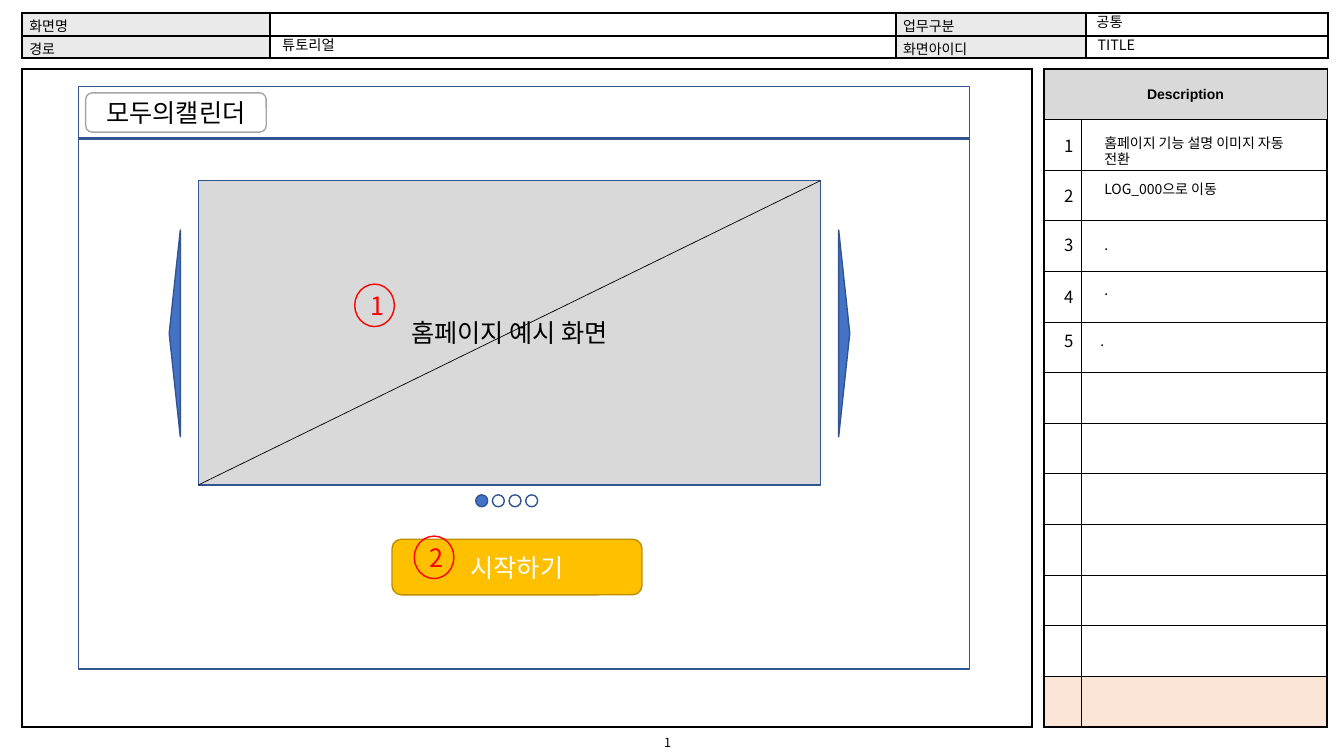
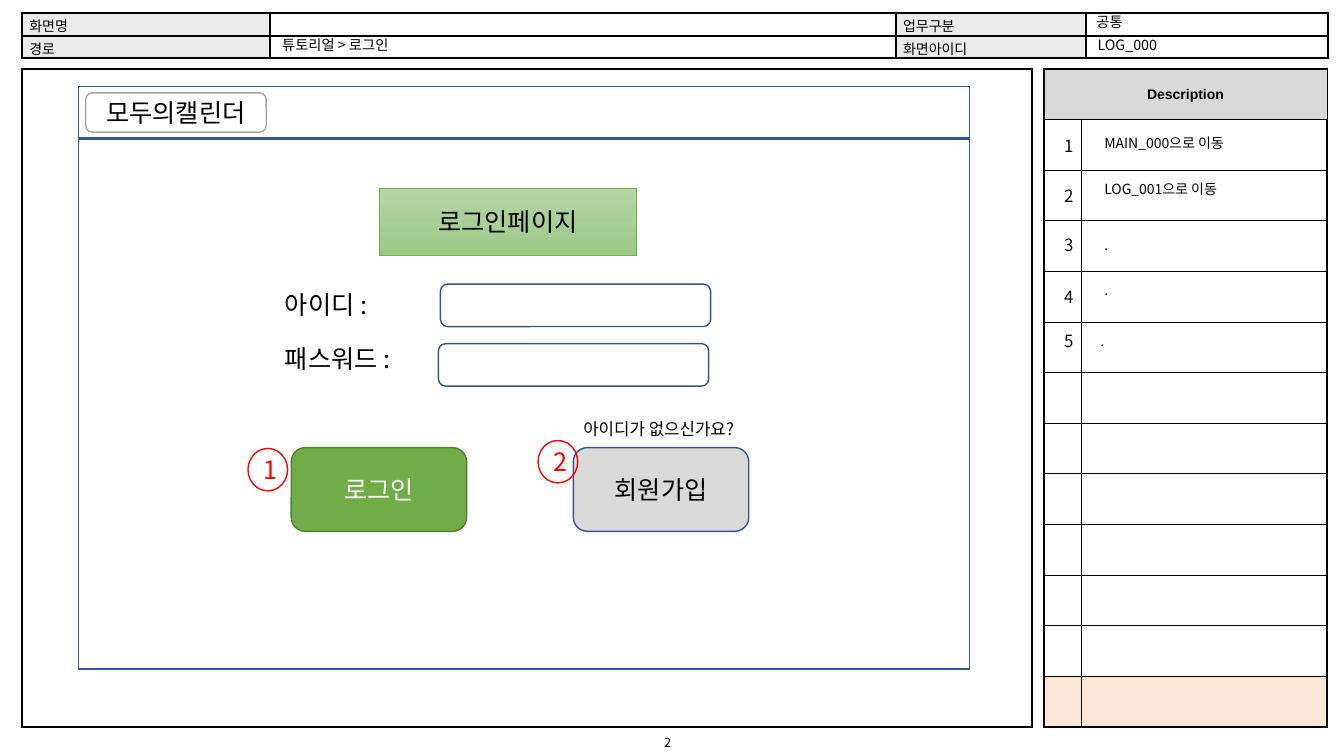
"""Build two wireframe slides with a shared header, frame and description panel."""
from lxml import etree
from pptx import Presentation
from pptx import util as u
from pptx.dml.color import RGBColor
from pptx.enum import shapes, text
from pptx.oxml import ns


class Theme:
    face, head = "Noto Sans CJK KR", "Arial"
    black, white, red = "000000", "FFFFFF", "FF0000"
    label, grey, peach = "EAEAEA", "D9D9D9", "FBE5D6"
    blue, navy, silver = "4472C4", "325491", "A5A5A5"
    gold, bronze = "FFC000", "BD8E00"
    green, moss, mint = "70AD47", "538035", ("B5D5A7", "9CC987")
    page, note, value, number, main = 9, 10, 10.2, 12, 18
    thin, line, thick = 0.5, 1, 1.5
    gap = 17


def write(frame, words, size, tone=Theme.black, mid=True, pad=(0.25, 0.13), face=Theme.face, bold=False):
    """Fill a text frame and format its runs."""
    frame.text = words
    frame.word_wrap = True
    frame.auto_size = text.MSO_AUTO_SIZE.NONE
    frame.vertical_anchor = text.MSO_ANCHOR.MIDDLE if mid else text.MSO_ANCHOR.TOP
    frame.margin_left = frame.margin_right = u.Cm(pad[0])
    frame.margin_top = frame.margin_bottom = u.Cm(pad[1])
    for rank, para in enumerate(frame.paragraphs):
        para.alignment = text.PP_ALIGN.CENTER if mid else text.PP_ALIGN.LEFT
        para.space_before = u.Pt(Theme.gap if rank else 0)
        for run in para.runs:
            run.font.name, run.font.size, run.font.bold = face, u.Pt(size), bold
            run.font.color.rgb = RGBColor.from_string(tone)
            etree.SubElement(run.font._element, ns.qn("a:ea"), typeface=face)


def box(slide, kind, spot, fill=None, line=None, words="", tone=Theme.black, size=Theme.main, weight=Theme.line):
    """Add a preset shape, or a text box when kind is None."""
    place = [u.Cm(n) for n in spot]
    if kind is None:
        item = slide.shapes.add_textbox(*place)
        write(item.text_frame, words, size, tone, mid=False)
        return item
    item = slide.shapes.add_shape(kind, *place)
    item.shadow.inherit = False
    if isinstance(fill, tuple):
        item.fill.gradient()
        item.fill.gradient_angle = 270
        for stop, shade in zip(item.fill.gradient_stops, fill):
            stop.color.rgb = RGBColor.from_string(shade)
        item.fill.gradient_stops[0].position = 0
        item.fill.gradient_stops[1].position = 1
    elif fill:
        item.fill.solid()
        item.fill.fore_color.rgb = RGBColor.from_string(fill)
    else:
        item.fill.background()
    if line:
        item.line.color.rgb = RGBColor.from_string(line)
        item.line.width = u.Pt(weight)
    else:
        item.line.fill.background()
    if words:
        write(item.text_frame, words, size, tone)
    return item


T = Theme
RECT, ROUND = shapes.MSO_SHAPE.RECTANGLE, shapes.MSO_SHAPE.ROUNDED_RECTANGLE
OVAL, WEDGE = shapes.MSO_SHAPE.OVAL, shapes.MSO_SHAPE.ISOSCELES_TRIANGLE

deck = Presentation()
deck.slide_width, deck.slide_height = u.Cm(33.87), u.Cm(19.05)

tables = [
    (0.56, 1.73, [25.45], 16.59, 1, T.thick, {}),
    (0.56, 0.33, [6.25, 15.77, 4.78, 6.1], 1.14, 2, T.thick, {
        (0, 0): ("화면명", T.label), (0, 2): ("업무구분", T.label),
        (1, 0): ("경로", T.label), (1, 2): ("화면아이디", T.label)}),
    (26.31, 1.73, [0.95, 6.18], 16.59, 13, T.thin, {
        (0, 0): ("", T.grey), (0, 1): ("", T.grey),
        (12, 0): ("", T.peach), (12, 1): ("", T.peach)}),
]
fields = [(0, 6.86, 0.89, 15.67), (1, 27.38, 0.33, 6.05), (3, 27.41, 0.91, 6.05)]
ranks = [3.28, 4.55, 5.79, 7.09, 8.2]
notes = [(27.58, 3.25), (27.58, 4.42), (27.58, 5.84), (27.58, 6.96), (27.48, 8.26)]

pages = [
    (["튜토리얼", "공통", "TITLE"],
     ["홈페이지 기능 설명 이미지 자동 전환", "LOG_000으로 이동"],
     [(RECT, (5, 4.55, 15.68, 7.67), T.grey, T.navy, "홈페이지 예시 화면"),
      (ROUND, (9.88, 13.59, 6.3, 1.4), T.gold, T.bronze, "시작하기", T.white)],
     [(8.94, 7.16), (10.44, 13.51)]),
    (["튜토리얼 > 로그인", "공통", "LOG_000"],
     ["MAIN_000으로 이동", "LOG_001으로 이동"],
     [(RECT, (9.55, 4.75, 6.5, 1.68), T.mint, T.green, "로그인페이지", T.black, T.main, T.thin),
      (None, (6.93, 7.16, 7.98, 2.57), None, None, "아이디 :\n패스워드 :"),
      (ROUND, (11.1, 7.16, 6.81, 1.07), None, T.navy),
      (ROUND, (11.05, 8.66, 6.81, 1.07), None, T.navy),
      (ROUND, (7.34, 11.28, 4.42, 2.11), T.green, T.moss, "로그인", T.white),
      (None, (14.45, 10.41, 7.26, 0.76), None, None, "아이디가 없으신가요?", T.black, T.number),
      (ROUND, (14.45, 11.28, 4.42, 2.11), T.grey, T.navy, "회원가입")],
     [(6.25, 11.3), (13.56, 11.1)]),
]

for number, (values, hints, parts, marks) in enumerate(pages, 1):
    slide = deck.slides.add_slide(deck.slide_layouts[4])
    holders = {h.placeholder_format.idx: h for h in slide.placeholders}
    for (key, left, top, width), words in zip(fields, values):
        holder = holders.pop(key)
        holder.left, holder.top = u.Cm(left), u.Cm(top)
        holder.width, holder.height = u.Cm(width), u.Cm(0.58)
        write(holder.text_frame, words, T.value, mid=False)
        holder.text_frame.paragraphs[0].line_spacing = 0.7
        holder.text_frame.paragraphs[0].space_before = u.Pt(10)
    for spare in holders.values():
        spare._element.getparent().remove(spare._element)

    for left, top, widths, height, count, inner, labels in tables:
        place = [u.Cm(n) for n in (left, top, sum(widths), height)]
        table = slide.shapes.add_table(count, len(widths), *place).table
        table.first_row = table.horz_banding = False
        for col, width in enumerate(widths):
            table.columns[col].width = u.Cm(width)
            for row in range(count):
                cell = table.cell(row, col)
                words, tint = labels.get((row, col), ("", None))
                write(cell.text_frame, words, T.note)
                cell.vertical_anchor = text.MSO_ANCHOR.MIDDLE
                cell.margin_left = cell.margin_right = u.Cm(0.18)
                cell.margin_top, cell.margin_bottom = u.Cm(0.05), 0
                para = cell.text_frame.paragraphs[0]
                para.alignment = text.PP_ALIGN.LEFT
                if not words:
                    etree.SubElement(para._p, ns.qn("a:endParaRPr"), sz="800")
                edges = {"L": col == 0, "R": col == len(widths) - 1,
                         "T": row == 0, "B": row == count - 1}
                for side, outer in edges.items():
                    weight = u.Pt(T.thick if outer else inner)
                    rule = etree.SubElement(cell._tc.get_or_add_tcPr(), ns.qn("a:ln" + side), w=str(weight))
                    solid = etree.SubElement(rule, ns.qn("a:solidFill"))
                    etree.SubElement(solid, ns.qn("a:srgbClr"), val=T.black)
                if tint:
                    cell.fill.solid()
                    cell.fill.fore_color.rgb = RGBColor.from_string(tint)
                else:
                    cell.fill.background()
    title = table.cell(0, 0)
    title.merge(table.cell(0, 1))
    for end in title._tc.findall(".//" + ns.qn("a:endParaRPr")):
        end.getparent().remove(end)
    write(title.text_frame, "Description", T.note, face=T.head, bold=True)
    title.vertical_anchor = text.MSO_ANCHOR.MIDDLE

    footer = box(slide, ROUND, (0.86, 18.49, 31.93, 0.43))
    write(footer.text_frame, str(number), T.page, pad=(0.05, 0))
    for rank, top in enumerate(ranks, 1):
        box(slide, None, (26.57, top, 0.66, 0.76), words=str(rank), size=T.number)
    for spot, words in zip(notes, hints + ["."] * 3):
        box(slide, None, (*spot, 5.16, 0.69), words=words, size=T.note)

    box(slide, RECT, (1.98, 2.18, 22.45, 1.3), T.white, T.navy)
    box(slide, RECT, (1.98, 3.5, 22.45, 13.36), T.white, T.navy)
    box(slide, ROUND, (2.16, 2.34, 4.55, 0.99), T.white, T.silver, "모두의캘린더")
    for part in parts:
        box(slide, *part)
    for rank, spot in enumerate(marks, 1):
        box(slide, OVAL, (*spot, 1, 1.07), None, T.red, str(rank), T.red)

tour = deck.slides[0]
for left, turn in ((1.8, 270), (18.67, 90)):
    box(tour, WEDGE, (left, 8.26, 5.21, 0.28), T.blue, T.navy).rotation = turn
for step in range(4):
    box(tour, OVAL, (11.99 + 0.42 * step, 12.47, 0.3, 0.3), T.white if step else T.blue, T.navy)
cross = tour.shapes.add_connector(shapes.MSO_CONNECTOR.STRAIGHT, u.Cm(5), u.Cm(12.22), u.Cm(20.68), u.Cm(4.55))
cross.line.color.rgb = RGBColor.from_string(T.black)
cross.line.width = u.Pt(T.thin)
etree.SubElement(cross._element.spPr, ns.qn("a:effectLst"))

deck.save("out.pptx")
